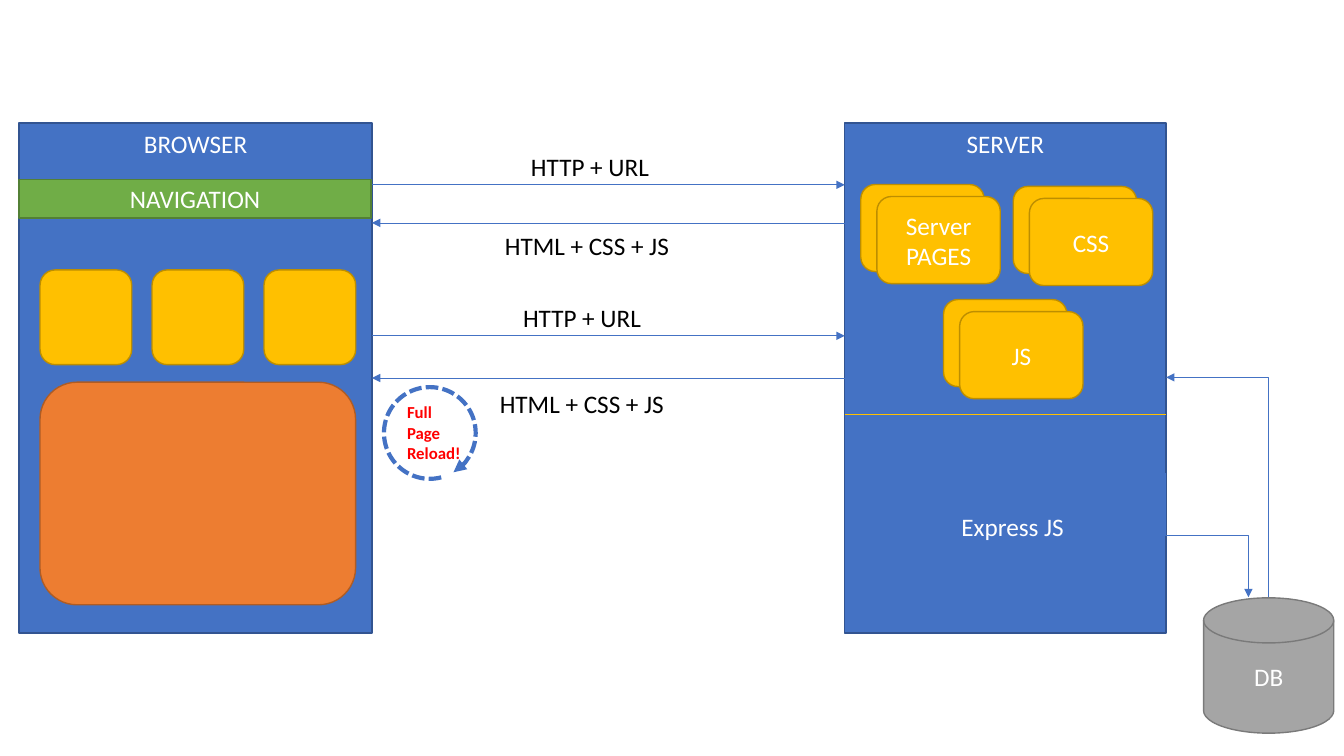
"""Build a slide showing full page reloads between a browser, a server and a database."""
from lxml import etree
from pptx import Presentation
from pptx.dml.color import RGBColor
from pptx.enum.dml import MSO_LINE
from pptx.enum.shapes import MSO_CONNECTOR, MSO_SHAPE
from pptx.enum.text import MSO_ANCHOR, MSO_AUTO_SIZE, PP_ALIGN
from pptx.oxml.ns import qn
from pptx.util import Pt

RECTANGLE, ROUNDED = MSO_SHAPE.RECTANGLE, MSO_SHAPE.ROUNDED_RECTANGLE
DISK, ARC = MSO_SHAPE.FLOWCHART_MAGNETIC_DISK, MSO_SHAPE.ARC
STRAIGHT, ELBOW = MSO_CONNECTOR.STRAIGHT, MSO_CONNECTOR.ELBOW
TOP, MIDDLE = MSO_ANCHOR.TOP, MSO_ANCHOR.MIDDLE
LEFT, CENTER = PP_ALIGN.LEFT, PP_ALIGN.CENTER
FIT_TEXT, DASH = MSO_AUTO_SIZE.SHAPE_TO_FIT_TEXT, MSO_LINE.SQUARE_DOT
LEFT_SIDE, RIGHT_SIDE = 1, 3

THEME = {
    "font": "Calibri", "body": 18, "note": 12,
    "outline": 1, "arrow": 0.5, "loop": 3,
    "white": "FFFFFF", "black": "000000", "red": "FF0000",
    "blue": ("4472C4", "325491"), "green": ("70AD47", "538035"),
    "gold": ("FFC000", "BD8E00"), "orange": ("ED7D31", "AF5C24"),
    "gray": ("A5A5A5", "7A7A7A"),
}

BROWSER = ("BROWSER", (13.7, 87.8, 252, 364.4))
SERVER = ("SERVER", (603.4, 87.8, 229.4, 364.4))
NAVIGATION = ("NAVIGATION", (13.7, 128.2, 251.3, 27.4))
DATABASE = ("DB", (859.7, 427, 93, 96.7))
EXPRESS = ("Express JS", (679.7, 362, 88.6, 29))
CONTENT_PANEL = (28.6, 273, 225.4, 159)
TILE_COUNT, TILE_BOX, TILE_STEP = 3, (28.6, 192.8, 65.5, 67.7), 80
STACKS = [("Server PAGES", 614.9, 131.8), ("CSS", 723.8, 133.2), ("JS", 674, 214)]
CARD_SIZE, CARD_OFFSET = (88.1, 62.2), (11.5, 8.6)
DIVIDER_Y = 296
MESSAGES = [
    ("HTTP + URL", (372.2, 104.4, 100.1, 29), 132, True),
    ("HTML + CSS + JS", (353.5, 160.6, 137.5, 29), 159.2, False),
    ("HTTP + URL", (366.5, 212.4, 100.1, 29), 239.9, True),
    ("HTML + CSS + JS", (349.9, 273.6, 133.2, 29), None, False),
]
ELBOWS = [
    ("bentConnector3", "flipH", (817.9, 352.8, 88.6, 59)),
    ("bentConnector2", "flipV", (774.9, 327.6, 189.4, 73.4)),
]
RELOAD = ("Full\nPage\nReload!", (283.7, 283.7, 53.3, 51.1))
LOOP_BOX, LOOP_TURN, LOOP_ANGLES = (274.3, 276.5, 65.5, 65.5), 273.6, (162, 145.33)


def points(values):
    return [Pt(value) for value in values]


def apply_format(target, values):
    for name, value in values.items():
        setattr(target, name, value)


def write_text(shape, text, color, size="body", align=CENTER, bold=False, **frame):
    shape.text_frame.text = text
    apply_format(shape.text_frame, frame)
    for paragraph in shape.text_frame.paragraphs:
        paragraph.alignment = align
        apply_format(paragraph.font, {"name": THEME["font"], "size": Pt(THEME[size]), "bold": bold})
        paragraph.font.color.rgb = RGBColor.from_string(THEME[color])


def style_line(line, color, width):
    line.color.rgb = RGBColor.from_string(color)
    line.width = Pt(THEME[width])


def add_arrowhead(line):
    properties = line._get_or_add_ln()
    etree.SubElement(properties, qn("a:tailEnd"), type="triangle")


def add_block(shapes, kind, box, palette, text="", anchor=MIDDLE):
    shape = shapes.add_shape(kind, *points(box))
    fill, outline = THEME[palette]
    shape.shadow.inherit = False
    shape.fill.solid()
    shape.fill.fore_color.rgb = RGBColor.from_string(fill)
    style_line(shape.line, outline, "outline")
    if text:
        write_text(shape, text, "white", vertical_anchor=anchor)
    return shape


def add_label(shapes, text, box, color, **style):
    label = shapes.add_textbox(*points(box))
    write_text(label, text, color, align=LEFT, word_wrap=False, auto_size=FIT_TEXT, **style)


def add_line(shapes, ends, palette="blue", kind=STRAIGHT, arrow=True):
    connector = shapes.add_connector(kind, *points(ends))
    style_line(connector.line, THEME[palette][0], "arrow")
    if arrow:
        add_arrowhead(connector.line)
    etree.SubElement(connector._element.spPr, qn("a:effectLst"))
    return connector


def add_elbow(shapes, preset, flip, box):
    left, top, width, height = box
    elbow = add_line(shapes, (left, top, left + width, top + height), kind=ELBOW)
    properties = elbow._element.spPr
    properties.find(qn("a:prstGeom")).set("prst", preset)
    transform = properties.find(qn("a:xfrm"))
    transform.set("rot", str(270 * 60000))
    transform.set(flip, "1")


def add_stack(shapes, text, left, top):
    group = shapes.add_group_shape()
    for layer, caption in enumerate(("", text)):
        corner = (left + layer * CARD_OFFSET[0], top + layer * CARD_OFFSET[1])
        add_block(group.shapes, ROUNDED, corner + CARD_SIZE, "gold", caption)


def add_server(shapes):
    name, box = SERVER
    server = add_block(shapes, RECTANGLE, box, "blue", name, TOP)
    for elbow in ELBOWS:
        add_elbow(shapes, *elbow)
    for stack in STACKS:
        add_stack(shapes, *stack)
    add_line(shapes, (box[0], DIVIDER_Y, box[0] + box[2], DIVIDER_Y), "gold", arrow=False)
    add_block(shapes, DISK, DATABASE[1], "gray", DATABASE[0])
    add_label(shapes, *EXPRESS, "white")
    return server


def add_browser(shapes):
    name, box = BROWSER
    browser = add_block(shapes, RECTANGLE, box, "blue", name, TOP)
    add_block(shapes, RECTANGLE, NAVIGATION[1], "green", NAVIGATION[0])
    left, *rest = TILE_BOX
    for index in range(TILE_COUNT):
        add_block(shapes, ROUNDED, (left + index * TILE_STEP, *rest), "gold")
    add_block(shapes, ROUNDED, CONTENT_PANEL, "orange")
    return browser


def add_messages(shapes, browser, server):
    browser_edge, server_edge = BROWSER[1][0] + BROWSER[1][2], SERVER[1][0]
    middle = SERVER[1][1] + SERVER[1][3] / 2
    for text, box, height, is_request in MESSAGES:
        y = height or middle
        start, end = (browser_edge, server_edge) if is_request else (server_edge, browser_edge)
        arrow = add_line(shapes, (start, y, end, y))
        if height is None:
            arrow.begin_connect(server, LEFT_SIDE)
            arrow.end_connect(browser, RIGHT_SIDE)
        add_label(shapes, text, box, "black")


def add_reload(shapes):
    group = shapes.add_group_shape()
    loop = group.shapes.add_shape(ARC, *points(LOOP_BOX))
    for index, angle in enumerate(LOOP_ANGLES):
        loop.adjustments[index] = angle * 0.6
    loop.rotation = LOOP_TURN
    loop.shadow.inherit = False
    loop.fill.background()
    style_line(loop.line, THEME["blue"][0], "loop")
    loop.line.dash_style = DASH
    add_arrowhead(loop.line)
    add_label(group.shapes, *RELOAD, "red", size="note", bold=True)


def main():
    presentation = Presentation()
    apply_format(presentation, {"slide_width": Pt(960), "slide_height": Pt(540)})
    shapes = presentation.slides.add_slide(presentation.slide_layouts[6]).shapes
    server = add_server(shapes)
    browser = add_browser(shapes)
    add_messages(shapes, browser, server)
    add_reload(shapes)
    presentation.save("out.pptx")


if __name__ == "__main__":
    main()
